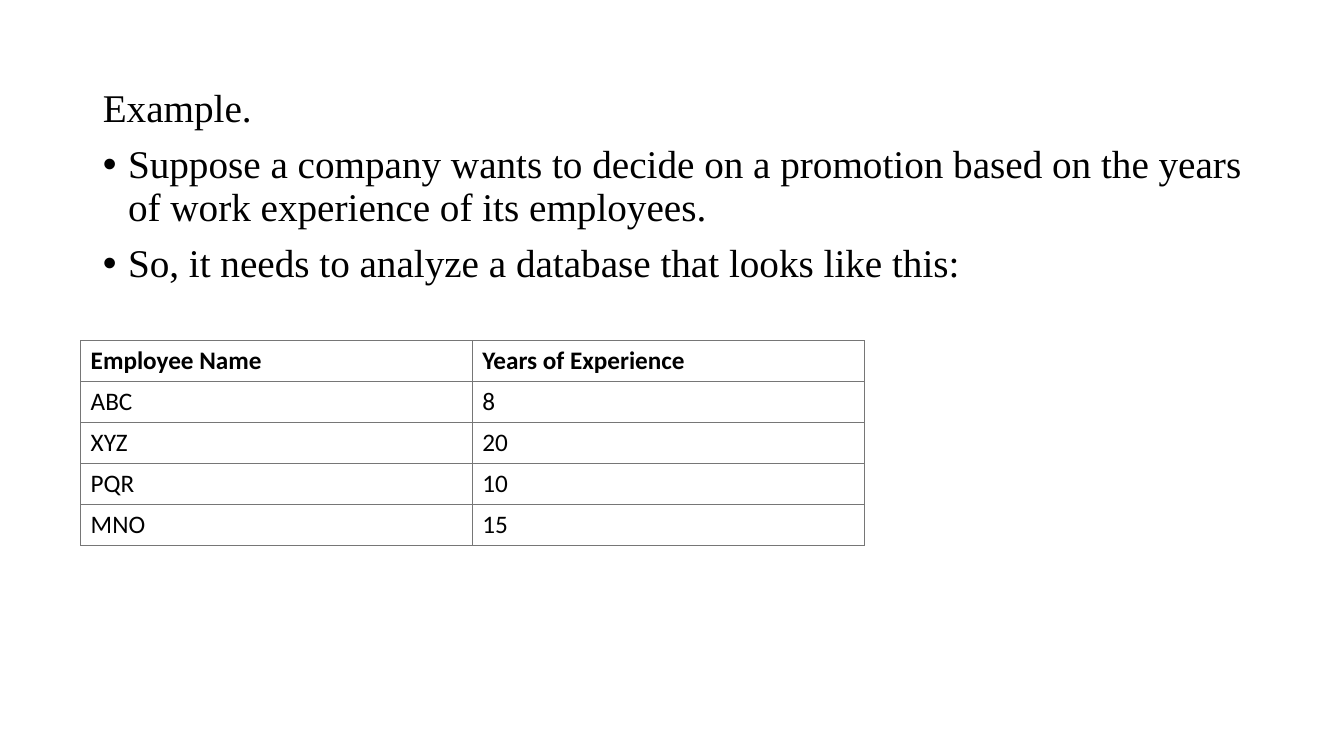
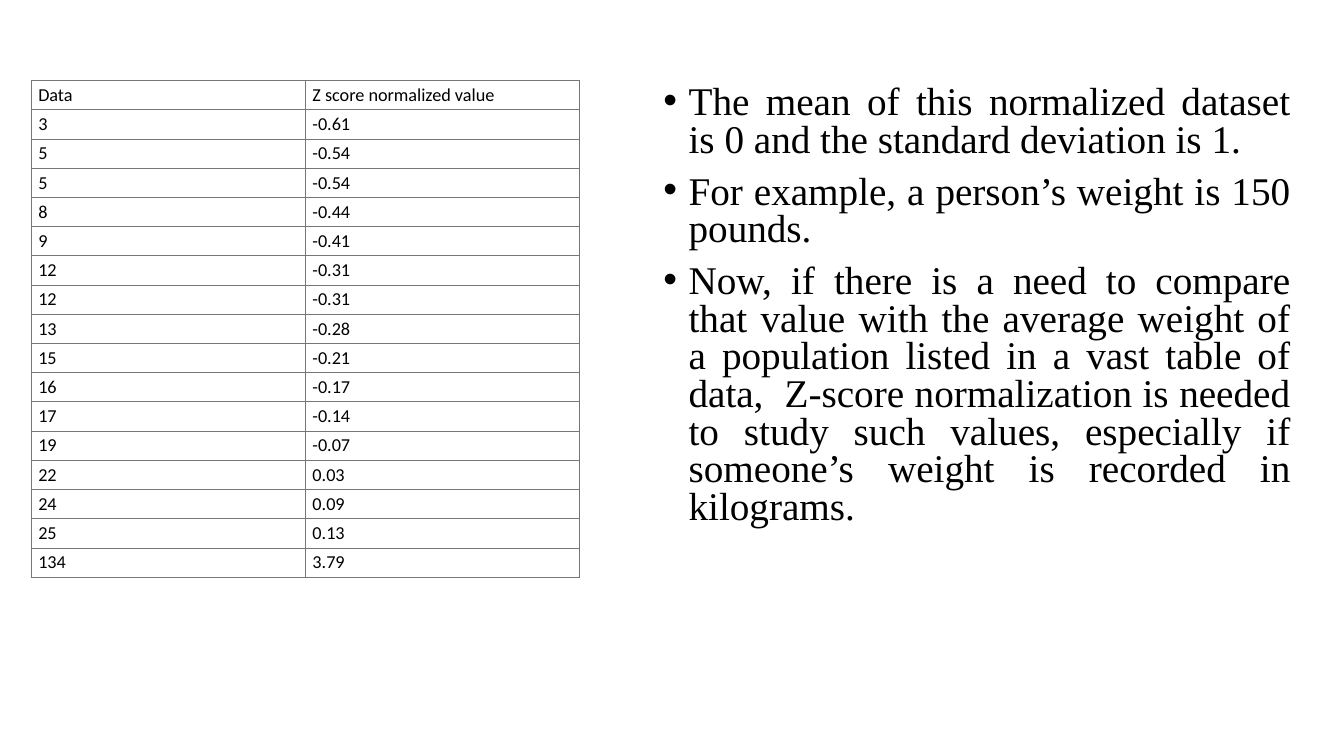
from dataclasses import dataclass
from typing import NamedTuple

from lxml.etree import SubElement
from pptx import Presentation
from pptx.dml.color import RGBColor as Color
from pptx.enum.text import MSO_ANCHOR as Anchor
from pptx.enum.text import MSO_AUTO_SIZE as Fit
from pptx.enum.text import PP_ALIGN as Align
from pptx.oxml.ns import qn
from pptx.slide import Slide
from pptx.table import _Cell as Cell
from pptx.util import Inches, Pt


@dataclass(frozen=True)
class Theme:
    ink: str = "000000"
    paper: str = "FFFFFF"
    rule: str = "767676"
    serif: str = "Times New Roman"
    sans: str = "Calibri"
    body: float = 28
    large: float = 18
    small: float = 13
    gap: float = 10
    line: float = 0.75
    indent: float = 0.25


THEME = Theme()


class Box(NamedTuple):
    left: float
    top: float
    width: float
    height: float


class Item(NamedTuple):
    text: str
    dot: bool = True


@dataclass(frozen=True)
class Notes:
    box: Box
    items: list[Item]
    pitch: float
    align: Align = Align.LEFT


@dataclass(frozen=True)
class Grid:
    box: Box
    rows: list[tuple[str, str]]
    size: float
    pad_x: float
    pad_y: float
    bold_head: bool = False


@dataclass(frozen=True)
class Page:
    notes: Notes
    grid: Grid


def add_run(para, text: str, face: str, size: float, bold: bool = False) -> None:
    run = para.add_run()
    run.text = text
    run.font.name = face
    run.font.size = Pt(size)
    run.font.bold = bold
    run.font.color.rgb = Color.from_string(THEME.ink)


def set_dot(para, dot: bool) -> None:
    props = para._p.get_or_add_pPr()
    step = Inches(THEME.indent) if dot else 0
    props.set("marL", str(step))
    props.set("indent", str(-step))
    if dot:
        SubElement(props, qn("a:buFont"), typeface="Arial")
        SubElement(props, qn("a:buChar"), char="•")
    else:
        SubElement(props, qn("a:buNone"))


def draw_notes(slide: Slide, notes: Notes) -> None:
    body = slide.placeholders[1]
    body.left, body.top, body.width, body.height = map(Inches, notes.box)
    frame = body.text_frame
    frame.word_wrap = True
    frame.auto_size = Fit.NONE
    frame.vertical_anchor = Anchor.TOP
    for index, item in enumerate(notes.items):
        para = frame.add_paragraph() if index else frame.paragraphs[0]
        set_dot(para, item.dot)
        para.alignment = notes.align
        para.line_spacing = notes.pitch
        para.space_before = Pt(THEME.gap if index else 0)
        add_run(para, item.text, THEME.serif, THEME.body)


def set_edge(cell: Cell) -> None:
    props = cell._tc.get_or_add_tcPr()
    for index, side in enumerate(("lnL", "lnR", "lnT", "lnB")):
        edge = props.makeelement(qn(f"a:{side}"), {"w": str(Pt(THEME.line))})
        fill = SubElement(edge, qn("a:solidFill"))
        SubElement(fill, qn("a:srgbClr"), val=THEME.rule)
        props.insert(index, edge)


def draw_cell(cell: Cell, text: str, grid: Grid, bold: bool) -> None:
    cell.fill.solid()
    cell.fill.fore_color.rgb = Color.from_string(THEME.paper)
    cell.vertical_anchor = Anchor.MIDDLE
    cell.margin_left = cell.margin_right = Inches(grid.pad_x)
    cell.margin_top = cell.margin_bottom = Inches(grid.pad_y)
    add_run(cell.text_frame.paragraphs[0], text, THEME.sans, grid.size, bold)
    set_edge(cell)


def draw_grid(slide: Slide, grid: Grid) -> None:
    count = len(grid.rows)
    table = slide.shapes.add_table(count, 2, *map(Inches, grid.box)).table
    table.first_row = table.horz_banding = False
    for y, row in enumerate(grid.rows):
        for x, text in enumerate(row):
            draw_cell(table.cell(y, x), text, grid, grid.bold_head and y == 0)


PAGES = [
    Page(
        Notes(
            Box(0.92, 0.83, 11.5, 5.93),
            [
                Item("Example.", dot=False),
                Item(
                    "Suppose a company wants to decide on a promotion based on "
                    "the years of work experience of its employees."
                ),
                Item("So, it needs to analyze a database that looks like this:"),
            ],
            pitch=0.9,
        ),
        Grid(
            Box(0.8, 3.38, 7.77, 2.03),
            [
                ("Employee Name", "Years of Experience"),
                ("ABC", "8"),
                ("XYZ", "20"),
                ("PQR", "10"),
                ("MNO", "15"),
            ],
            THEME.large,
            pad_x=0.1,
            pad_y=0.05,
            bold_head=True,
        ),
    ),
    Page(
        Notes(
            Box(6.48, 0.8, 6.42, 4.76),
            [
                Item(
                    "The mean of this normalized dataset is 0 and the standard "
                    "deviation is 1."
                ),
                Item("For example, a person’s weight is 150 pounds."),
                Item(
                    "Now, if there is a need to compare that value with the "
                    "average weight of a population listed in a vast table of "
                    "data,  Z-score normalization is needed to study such "
                    "values, especially if someone’s weight is recorded in "
                    "kilograms."
                ),
            ],
            pitch=0.8,
            align=Align.JUSTIFY,
        ),
        Grid(
            Box(0.31, 0.8, 5.44, 4.93),
            [
                ("Data", "Z score normalized value"),
                ("3", "-0.61"),
                ("5", "-0.54"),
                ("5", "-0.54"),
                ("8", "-0.44"),
                ("9", "-0.41"),
                ("12", "-0.31"),
                ("12", "-0.31"),
                ("13", "-0.28"),
                ("15", "-0.21"),
                ("16", "-0.17"),
                ("17", "-0.14"),
                ("19", "-0.07"),
                ("22", "0.03"),
                ("24", "0.09"),
                ("25", "0.13"),
                ("134", "3.79"),
            ],
            THEME.small,
            pad_x=0.07,
            pad_y=0.03,
        ),
    ),
]


def main() -> None:
    deck = Presentation()
    deck.slide_width, deck.slide_height = Inches(13.33), Inches(7.5)
    for page in PAGES:
        slide = deck.slides.add_slide(deck.slide_layouts[1])
        title = slide.shapes.title.element
        title.getparent().remove(title)
        draw_notes(slide, page.notes)
        draw_grid(slide, page.grid)
    deck.save("out.pptx")


if __name__ == "__main__":
    main()
